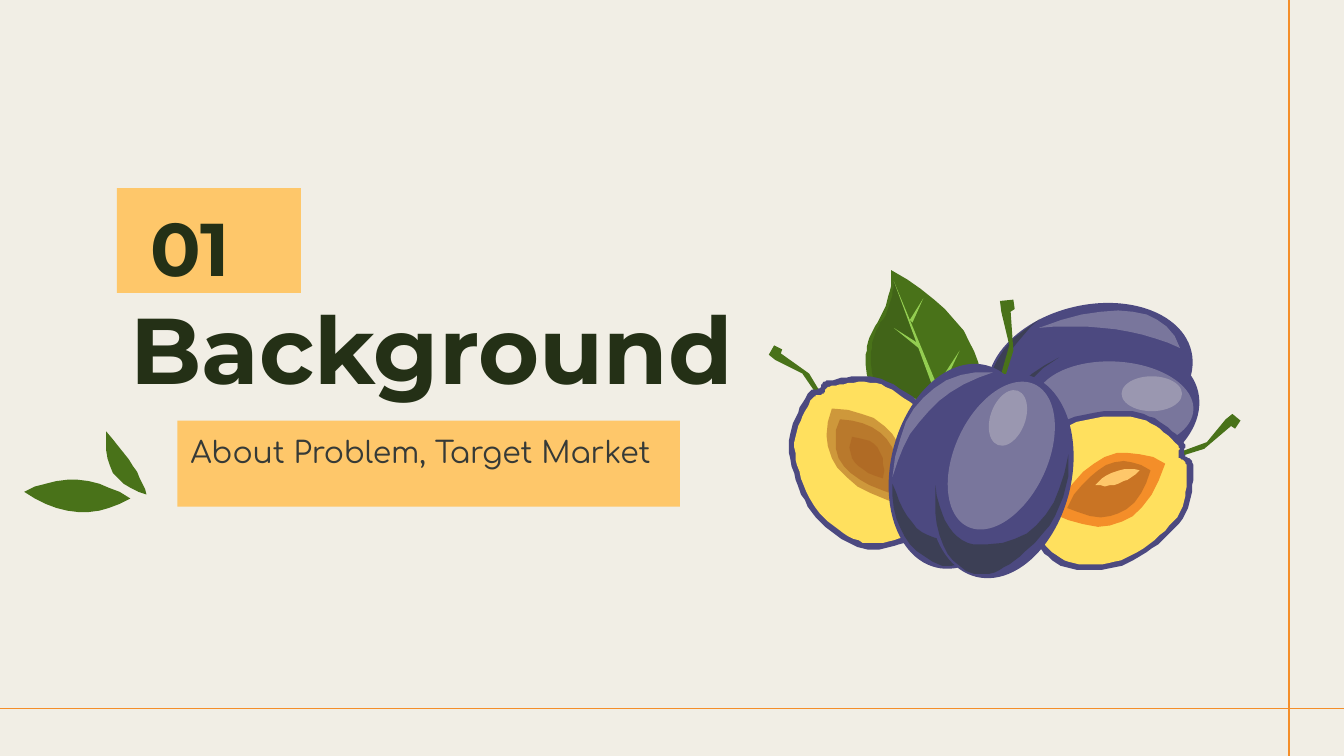
from math import cos, radians, sin

from lxml import etree
from pptx import Presentation
from pptx.dml.color import RGBColor
from pptx.enum.shapes import MSO_CONNECTOR, MSO_SHAPE
from pptx.enum.text import MSO_ANCHOR, PP_ALIGN
from pptx.oxml.ns import qn
from pptx.util import Pt

PX = 9144  # 100 px to the inch
STEPS = 10  # straight pieces per curve
LINE, RECT, OVAL = MSO_CONNECTOR.STRAIGHT, MSO_SHAPE.RECTANGLE, MSO_SHAPE.OVAL
TOP, LEFT = MSO_ANCHOR.TOP, PP_ALIGN.LEFT

PAPER, ORANGE, PEACH, YELLOW = "F1EEE5", "F48E29", "FEC76A", "FFE05E"
INK, GREEN, LIME, PLUM, BROWN, GREY = "243016", "497219", "94CE51", "4C4980", "AA6221", "363A37"

# Rules: x1, y1, x2, y2
RULES = [(-17, 527, 1017, 527), (959, 576, 959, -13)]

# Text boxes: words, box, left inset, size, font, colour, bold, fill
TITLE = ("Background", (87, 207, 495, 149), 10, 50, "Montserrat", INK, True, None)
TOPIC = ("About Problem, Target Market", (132, 313, 374, 64), 10, 16, "Comfortaa", GREY, False, PEACH)
NUMBER = ("01", (87, 140, 137, 78), 25, 40, "Montserrat", INK, True, PEACH)

# Curved outlines: corners and bend points take turns
LEAVES = [(97, 371, 58, 394, 18, 366, 58, 346), (79, 321, 75, 359, 109, 368, 104, 349)]
LEAF = (663, 201, 725, 236, 729, 279, 732, 310, 714, 338, 648, 312, 644, 271, 643, 255, 655, 236, 665, 215)
LEAF_DIM = (665, 209, 690, 270, 712, 333, 648, 310, 648, 270, 648, 250, 657, 238, 665, 222)
VEINS = [(665, 209, 721, 361, 728, 361), (705, 308, 671, 292, 706, 312),
         (686, 261, 665, 244, 684, 256), (697, 287, 714, 261, 700, 291), (677, 238, 687, 222, 679, 240)]

# Whole plums: centre and tilt, then shade and gleams
SIZE = (104, 155)
BACK = [
    ((811, 279, 77), (774, 237, 735, 270, 755, 290, 775, 325, 866, 304, 800, 345, 750, 315, 715, 275)),
    ((816, 309, 77), (788, 266, 755, 285, 762, 312, 775, 352, 854, 345, 780, 375, 750, 337, 730, 295)),
]
FRONT = [
    ((715, 347, 14), (664, 360, 676, 397, 699, 401, 755, 398, 765, 309,
                      770, 365, 740, 401, 718, 424, 701, 421, 664, 408)),
    ((745, 354, 14), (696, 361, 702, 401, 724, 405, 783, 410, 795, 338,
                      798, 380, 763, 410, 743, 430, 725, 427, 693, 417)),
]
BACK_GLEAM = (773, 244, 860, 212, 878, 259, 835, 238)
FRONT_GLEAM = (739, 277, 680, 295, 664, 355, 672, 275)
BACK_SPOTS = [(829, 302, 118, 66, 3), (857, 293, 45, 26, 0)]
FRONT_SPOTS = [(745, 339, 69, 117, 25), (750, 311, 26, 43, 20)]

# Halved plums: rim, seed, seed layers as (colour, opacity, scale)
RIGHT = ((888, 348, 881, 338, 879, 327, 847, 307, 795, 312, 761, 343,
          757, 376, 766, 398, 793, 422, 839, 419, 880, 386),
         (867, 345, 819, 317, 783, 382, 845, 413),
         [(ORANGE, 100, 1), (BROWN, 57, 0.75)])
PIP = (815, 361, 828, 346, 848, 350, 833, 364)
LEFT_HALF = ((617, 283, 610, 289, 600, 295, 587, 332, 604, 381, 642, 408,
              678, 402, 686, 395, 694, 390, 711, 358, 698, 314, 656, 282),
             (619, 304, 600, 356, 674, 377, 682, 306),
             [(BROWN, 57, 1), (BROWN, 57, 0.78), (BROWN, 57, 0.42)])

# Stalk seen from its head, and where each one stands: x, y, turn, scale
STALK = (4, 0, 5, -3, -1, -6, -5, 1, 0, 5, 20, 15, 31, 31, 34, 30, 25, 15)
RIGHT_STALK, LEFT_STALK, MID_STALK = (917, 313, 104, 1), (577, 263, 0, 1), (749, 228, 50, 1.15)


def rgb(code):
    return RGBColor.from_string(code)


def pair(flat):
    return list(zip(flat[::2], flat[1::2]))


def blend(weights, pts):
    return tuple(sum(w * p[k] for w, p in zip(weights, pts)) for k in (0, 1))


def bend(flat):
    """Corners joined by quadratic curves."""
    pts = pair(flat)
    out = []
    for i in range(0, len(pts), 2):
        trio = (pts[i], pts[i + 1], pts[(i + 2) % len(pts)])
        for t in (n / STEPS for n in range(STEPS)):
            out.append(blend(((1 - t) ** 2, 2 * t * (1 - t), t * t), trio))
    return out


def smooth(flat):
    """Closed Catmull-Rom curve through every point."""
    pts = pair(flat)
    out = []
    for i in range(len(pts)):
        near = [pts[(i + k) % len(pts)] for k in (-1, 0, 1, 2)]
        for t in (n / STEPS for n in range(STEPS)):
            out.append(blend(((-t + 2 * t**2 - t**3) / 2, (2 - 5 * t**2 + 3 * t**3) / 2,
                              (t + 4 * t**2 - 3 * t**3) / 2, (t**3 - t**2) / 2), near))
    return out


def resize(pts, scale):
    mid = [(min(v) + max(v)) / 2 for v in zip(*pts)]
    return [tuple(m + (v - m) * scale for m, v in zip(mid, p)) for p in pts]


def paint(fill, code, alpha=100):
    fill.solid()
    fill.fore_color.rgb = rgb(code)
    if alpha < 100:
        color = fill._xPr.find(".//" + qn("a:srgbClr"))
        etree.SubElement(color, qn("a:alpha")).set("val", str(alpha * 1000))


def dress(shape, code, alpha=100):
    shape.shadow.inherit = False
    paint(shape.fill, code, alpha)
    shape.line.fill.background()


def draw(shapes, pts, code, alpha=100):
    pen = shapes.build_freeform(*pts[0], scale=PX)
    pen.add_line_segments(pts[1:], close=True)
    dress(pen.convert_to_shape(), code, alpha)


def oval(shapes, x, y, w, h, turn, code, alpha=100):
    box = [round(v * PX) for v in (x - w / 2, y - h / 2, w, h)]
    shape = shapes.add_shape(OVAL, *box)
    shape.rotation = turn
    dress(shape, code, alpha)


def plums(shapes, items, gleam, spots):
    for (x, y, turn), shade in items:
        oval(shapes, x, y, *SIZE, turn, PLUM)
        draw(shapes, bend(shade), INK, 40)
    draw(shapes, bend(gleam), PAPER, 28)
    for spot in spots:
        oval(shapes, *spot, PAPER, 28)


def half(shapes, rim, seed, layers):
    edge = smooth(rim)
    draw(shapes, edge, PLUM)
    draw(shapes, resize(edge, 0.93), YELLOW)
    for code, alpha, scale in layers:
        draw(shapes, resize(bend(seed), scale), code, alpha)


def stalk(shapes, x, y, turn, scale):
    c, s = scale * cos(radians(turn)), scale * sin(radians(turn))
    draw(shapes, [(x + c * a - s * b, y + s * a + c * b) for a, b in pair(STALK)], GREEN)


def write(shapes, words, box, inset, size, face, code, bold, back):
    box = [v * PX for v in box]
    if back:
        shape = shapes.add_shape(RECT, *box)
        dress(shape, back)
    else:
        shape = shapes.add_textbox(*box)
    frame = shape.text_frame
    frame.word_wrap = True
    frame.vertical_anchor = TOP
    frame.margin_left = inset * PX
    frame.margin_top = frame.margin_right = frame.margin_bottom = 10 * PX
    frame.text = words
    para = frame.paragraphs[0]
    para.alignment = LEFT
    font = para.runs[0].font
    font.name, font.size, font.bold = face, Pt(size), bold
    font.color.rgb = rgb(code)


deck = Presentation()
deck.slide_width, deck.slide_height = 1000 * PX, 1125 * PX // 2
slide = deck.slides.add_slide(deck.slide_layouts[6])
paint(slide.background.fill, PAPER)
shapes = slide.shapes

# Border rules
for ends in RULES:
    rule = shapes.add_connector(LINE, *[v * PX for v in ends])
    rule.line.color.rgb = rgb(ORANGE)
    rule.line.width = Pt(0.75)
    etree.SubElement(rule._element.spPr, qn("a:effectLst"))

# Loose leaves and text
sprig = shapes.add_group_shape().shapes
for leaf in LEAVES:
    draw(sprig, bend(leaf), GREEN)
write(shapes, *TITLE)
write(shapes, *TOPIC)

# Fruit, back to front
fruit = shapes.add_group_shape().shapes
draw(fruit, bend(LEAF), GREEN)
draw(fruit, bend(LEAF_DIM), INK, 21)
for vein in VEINS:
    draw(fruit, pair(vein), LIME)
plums(fruit, BACK, BACK_GLEAM, BACK_SPOTS)
stalk(fruit, *RIGHT_STALK)
half(fruit, *RIGHT)
draw(fruit, bend(PIP), PEACH)
stalk(fruit, *LEFT_STALK)
half(fruit, *LEFT_HALF)
stalk(fruit, *MID_STALK)
plums(fruit, FRONT, FRONT_GLEAM, FRONT_SPOTS)

write(shapes, *NUMBER)

deck.save("out.pptx")
